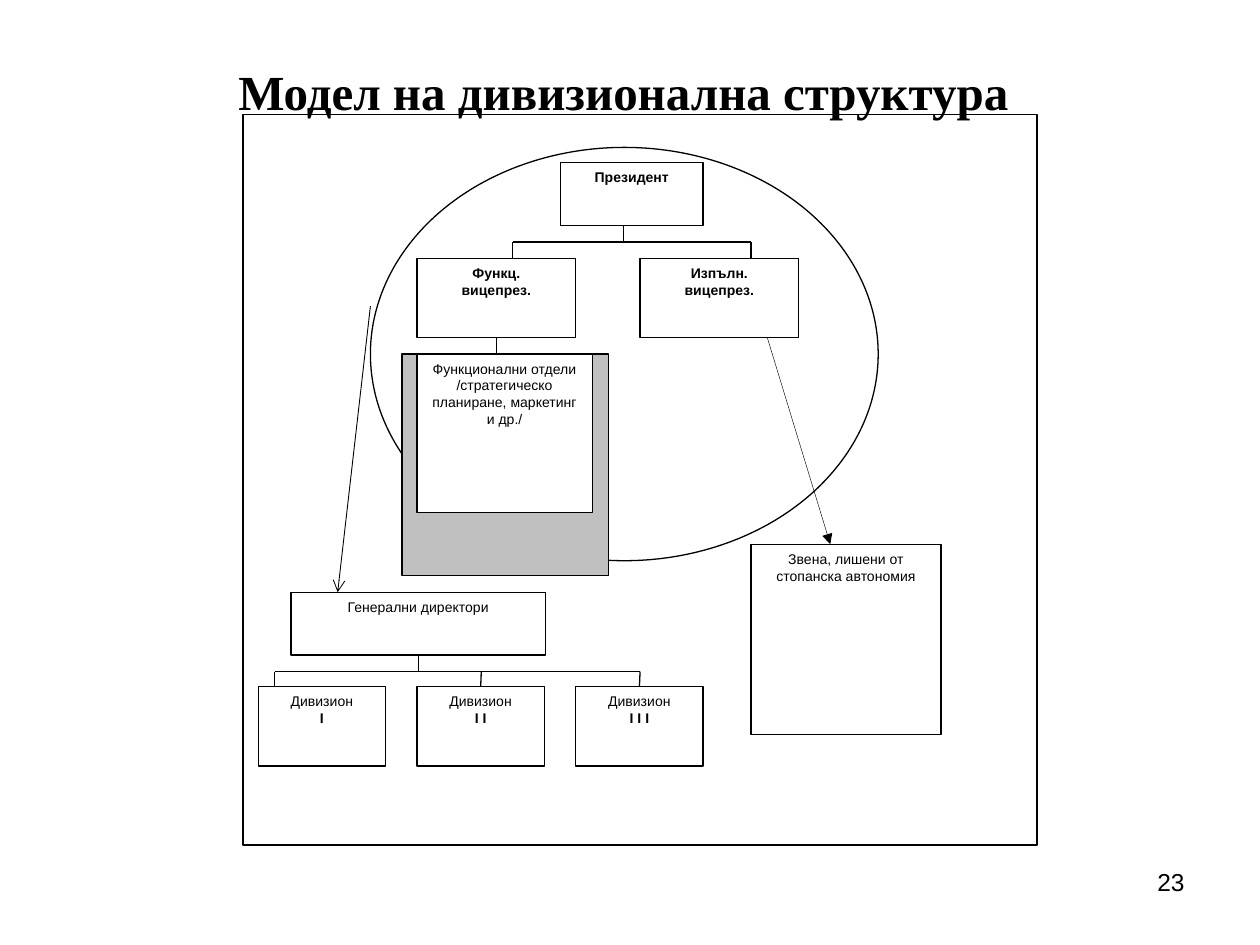
from lxml import etree
from pptx import Presentation
from pptx import util as u
from pptx.dml.color import RGBColor
from pptx.enum import shapes, text
from pptx.oxml.ns import qn

COLORS = {"ink": "000000", "paper": "FFFFFF", "shade": "C0C0C0"}
TITLE = "Модел на дивизионална структура "
PAGE_NUMBER = "23"

# name: (left, top, width, height), [(line, bold), ...]
BOXES = {
    "president": ((4.45, 1.29, 1.13, 0.5), [("Президент", True)]),
    "functional": ((3.31, 2.05, 1.26, 0.63), [("Функц.", True), ("вицепрез.", True)]),
    "executive": ((5.08, 2.05, 1.26, 0.63), [("Изпълн.", True), ("вицепрез.", True)]),
    "departments": ((3.31, 2.81, 1.39, 1.26), [
        ("Функционални отдели", False),
        ("/стратегическо планиране, маркетинг и др./", False)]),
    "directors": ((2.31, 4.7, 2.02, 0.5), [("Генерални директори", False)]),
    "units": ((5.96, 4.32, 1.51, 1.51), [("Звена, лишени от стопанска автономия", False)]),
}
DIVISIONS = ["I", "I І", "I І І"]
DIVISION_LEFT, DIVISION_TOP, DIVISION_STEP = 2.05, 5.45, 1.26
for index, numeral in enumerate(DIVISIONS):
    BOXES[f"division {index + 1}"] = (
        (DIVISION_LEFT + index * DIVISION_STEP, DIVISION_TOP, 1.01, 0.63),
        [("Дивизион", False), (numeral, True)])

# stem x, stem top, bar y, drop bottom, [(drop x, joined box), ...]
BRANCHES = [
    (4.95, 1.79, None, 1.92, 2.05, [(4.07, None), (5.96, None)]),
    (3.32, 5.2, "directors", 5.33, 5.45,
     [(2.18, None), (3.82, "division 2"), (5.08, "division 3")]),
]
ARROWS = [
    ((2.94, 2.43), (2.68, 4.7), 0.5, "arrow"),
    ((6.09, 2.68), (6.59, 4.32), 0.25, "triangle"),
]
TOP, BOTTOM = 0, 2


def color(name):
    return RGBColor.from_string(COLORS[name])


def add_shape(slide, kind, place, fill="paper", width=0.75):
    shape = slide.shapes.add_shape(kind, *map(u.Inches, place))
    shape.shadow.inherit = False
    if fill:
        shape.fill.solid()
        shape.fill.fore_color.rgb = color(fill)
    else:
        shape.fill.background()
    shape.line.color.rgb = color("ink")
    shape.line.width = u.Pt(width)
    return shape


def write(shape, lines, size, font="Arial", align=text.PP_ALIGN.CENTER):
    frame = shape.text_frame
    frame.word_wrap = True
    frame.vertical_anchor = text.MSO_ANCHOR.TOP
    for index, (line, bold) in enumerate(lines):
        paragraph = frame.add_paragraph() if index else frame.paragraphs[0]
        paragraph.text = line
        paragraph.alignment = align
        paragraph.font.size = u.Pt(size)
        paragraph.font.name = font
        paragraph.font.bold = bold
        paragraph.font.color.rgb = color("ink")
    return frame


def add_line(slide, start, end, width=0.75, head=None):
    line = slide.shapes.add_connector(
        shapes.MSO_CONNECTOR.STRAIGHT, *map(u.Inches, start + end))
    line.line.color.rgb = color("ink")
    line.line.width = u.Pt(width)
    if head:
        etree.SubElement(line.line._get_or_add_ln(), qn("a:tailEnd"), type=head)
    etree.SubElement(line._element.spPr, qn("a:effectLst"))
    return line


def add_branch(slide, boxes, x, top, parent, bar, bottom, drops):
    stem = add_line(slide, (x, top), (x, bar))
    if parent:
        stem.begin_connect(boxes[parent], BOTTOM)
    add_line(slide, (drops[0][0], bar), (drops[-1][0], bar))
    for drop_x, child in drops:
        drop = add_line(slide, (drop_x, bar), (drop_x, bottom))
        if child:
            drop.end_connect(boxes[child], TOP)


def main():
    presentation = Presentation()
    presentation.slide_width, presentation.slide_height = u.Inches(10), u.Inches(7.5)
    slide = presentation.slides.add_slide(presentation.slide_layouts[6])

    number = slide.shapes.add_textbox(*map(u.Inches, (7.17, 6.83, 2.33, 0.52)))
    write(number, [(PAGE_NUMBER, False)], 14, align=text.PP_ALIGN.RIGHT)
    title = slide.shapes.add_textbox(*map(u.Inches, (0.5, 0.44, 8.99, 6.26)))
    frame = write(title, [(TITLE, True)], 28, "Times New Roman")
    frame.paragraphs[0].space_before = u.Pt(4)

    preset = shapes.MSO_SHAPE
    add_shape(slide, preset.RECTANGLE, (1.93, 0.91, 6.3, 5.8), None, 1)
    add_shape(slide, preset.OVAL, (2.94, 1.17, 4.03, 3.28))
    add_shape(slide, preset.RECTANGLE, (3.19, 2.81, 1.64, 1.76), "shade")

    boxes = {}
    for name, (place, lines) in BOXES.items():
        boxes[name] = add_shape(slide, preset.RECTANGLE, place)
        write(boxes[name], lines, 8)

    for branch in BRANCHES:
        add_branch(slide, boxes, *branch)
    link = add_line(slide, (3.94, 2.68), (3.94, 2.81))
    link.begin_connect(boxes["functional"], BOTTOM)
    for arrow in ARROWS:
        add_line(slide, *arrow)

    presentation.save("out.pptx")


if __name__ == "__main__":
    main()
